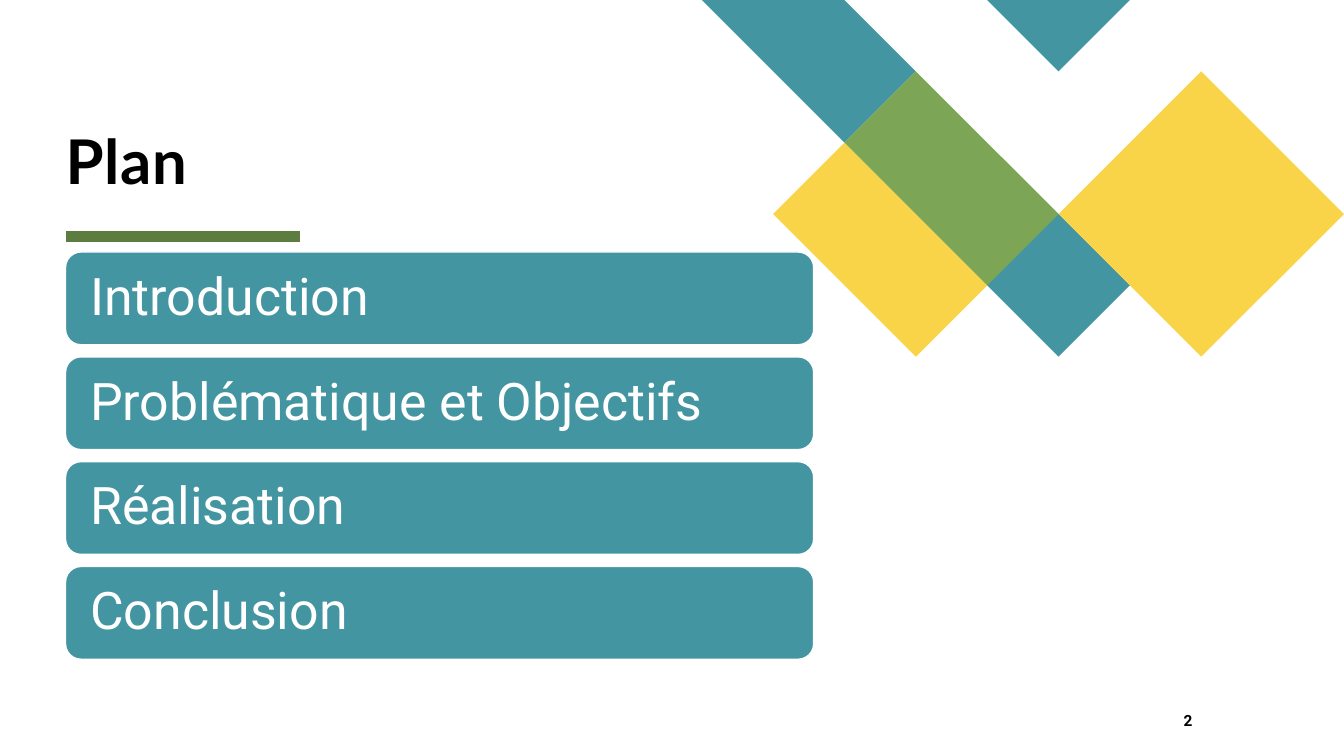
from pptx import Presentation, util as u
from pptx.dml.color import RGBColor
from pptx.enum import shapes, text
from lxml import etree

TEAL, YELLOW, GREEN = "4495A2", "F9D448", "7CA655"
TOPICS = ["Introduction", "Problématique et Objectifs", "Réalisation", "Conclusion"]
# Corners of each tile, counted in grid steps
TILES = [
    (TEAL, [(2, 0), (0, 0), (2, 2), (3, 1)]),
    (TEAL, [(5, 3), (4, 4), (5, 5), (6, 4)]),
    (YELLOW, [(2, 2), (1, 3), (3, 5), (4, 4)]),
    (TEAL, [(4, 0), (5, 1), (6, 0)]),
    (GREEN, [(3, 1), (2, 2), (4, 4), (5, 3)]),
    (YELLOW, [(7, 1), (5, 3), (7, 5), (9, 3)]),
]


def color(code):
    return RGBColor.from_string(code)


def paint(shape, code):
    shape.shadow.inherit = False
    shape.fill.solid()
    shape.fill.fore_color.rgb = color(code)


def write(shape, words, size, face, code, inset=0, bold=False, anchor="TOP"):
    """Put one left-aligned line into a shape and return its paragraph."""
    frame = shape.text_frame
    frame.word_wrap = True
    frame.vertical_anchor = getattr(text.MSO_ANCHOR, anchor)
    frame.margin_left = frame.margin_right = u.Inches(inset)
    frame.margin_top = frame.margin_bottom = 0
    frame.text = words
    line = frame.paragraphs[0]
    line.alignment = text.PP_ALIGN.LEFT
    font = line.runs[0].font
    font.size, font.name, font.bold = u.Pt(size), face, bold
    font.color.rgb = color(code)
    return line


def mosaic(slide, left, top, width):
    """Draw the tiles on a square grid nine steps wide."""
    step = width / 9
    for code, spots in TILES:
        corners = [(u.Inches(left + x * step), u.Inches(top + y * step)) for x, y in spots]
        pen = slide.shapes.build_freeform(*corners[0])
        pen.add_line_segments(corners[1:], close=True)
        tile = pen.convert_to_shape()
        paint(tile, code)
        tile.line.fill.background()


def header(slide, left, top, width, height):
    box = slide.shapes.add_textbox(*map(u.Inches, (left, top, width, height)))
    line = write(box, "Plan", 44, "Lato", "000000", bold=True, anchor="BOTTOM")
    line.line_spacing = 0.8
    line.runs[0]._r.get_or_add_rPr().set("spc", "50")
    level = u.Inches(top + height + 0.4)
    rule = slide.shapes.add_connector(
        shapes.MSO_CONNECTOR.STRAIGHT, u.Inches(left), level, u.Inches(left + 2.33), level)
    rule.line.color.rgb = color("5D7D40")
    rule.line.width = u.Pt(8)
    props = rule._element.spPr
    etree.SubElement(props, props.tag.split("}")[0].replace(
        "presentationml", "drawingml").replace("/2006/main", "/2006/main") + "}effectLst")


def agenda(slide, left, top, width, height):
    """Stack one bar per topic, evenly filling the height."""
    bar, count = 0.92, len(TOPICS)
    pitch = (height - bar) / (count - 1)
    for i, topic in enumerate(TOPICS):
        box = (left, top + i * pitch, width, bar)
        shape = slide.shapes.add_shape(
            shapes.MSO_SHAPE.ROUNDED_RECTANGLE, *map(u.Inches, box))
        paint(shape, TEAL)
        shape.line.color.rgb = color("FFFFFF")
        shape.line.width = u.Pt(1)
        line = write(shape, topic, 37, "Roboto", "FFFFFF", inset=0.2, anchor="MIDDLE")
        line.line_spacing = 0.9


def number(slide, left, top, width, height):
    box = slide.shapes.add_textbox(*map(u.Inches, (left, top, width, height)))
    write(box, "2", 11, "Roboto", "000000", bold=True)


def main():
    deck = Presentation()
    deck.slide_width, deck.slide_height = u.Inches(13.33), u.Inches(7.5)
    slide = deck.slides.add_slide(deck.slide_layouts[6])
    mosaic(slide, 6.96, 0, 6.37)
    header(slide, 0.65, 0.21, 7.42, 1.74)
    agenda(slide, 0.65, 2.5, 7.42, 4.04)
    number(slide, 11.74, 7.06, 0.57, 0.27)
    deck.save("out.pptx")


if __name__ == "__main__":
    main()
